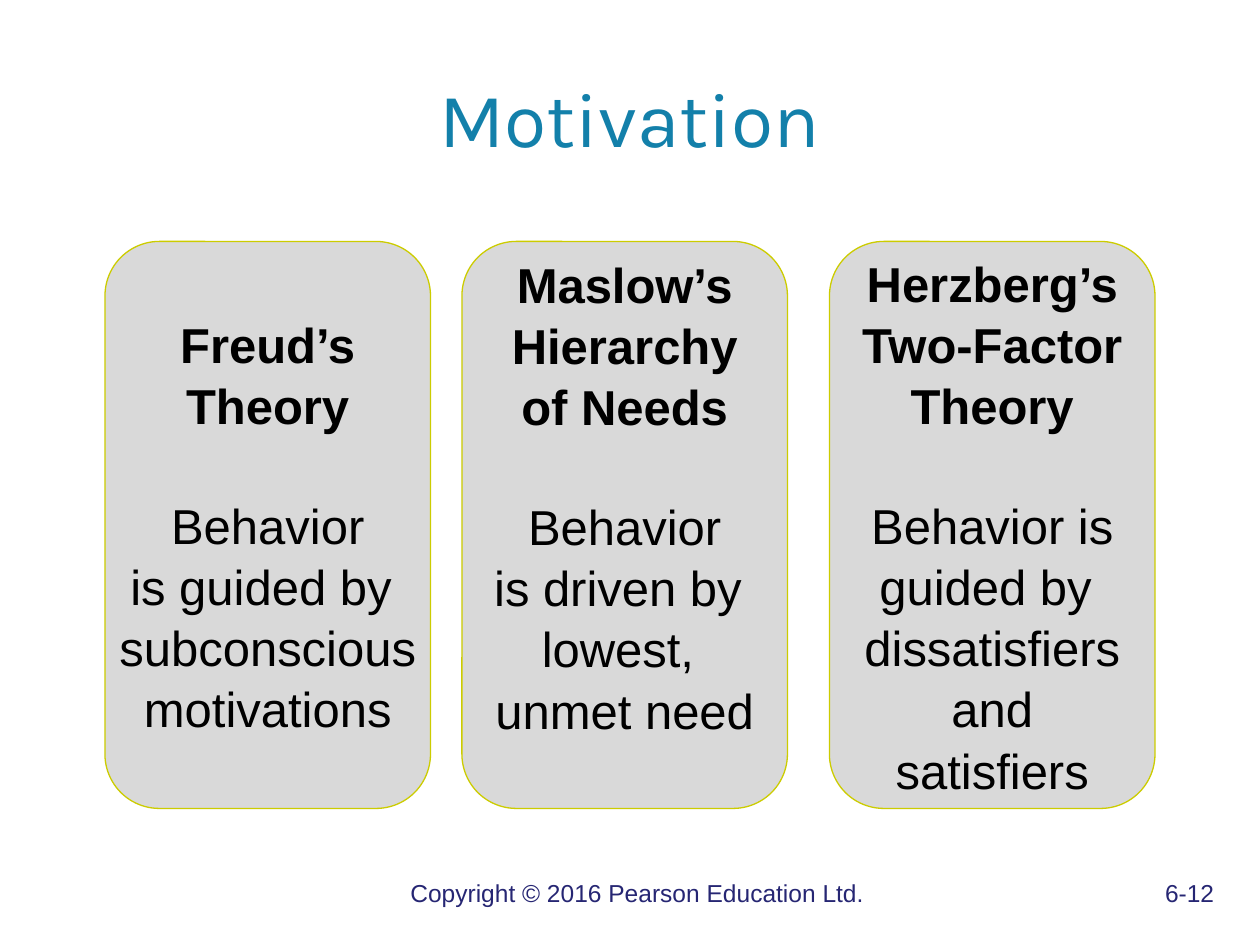
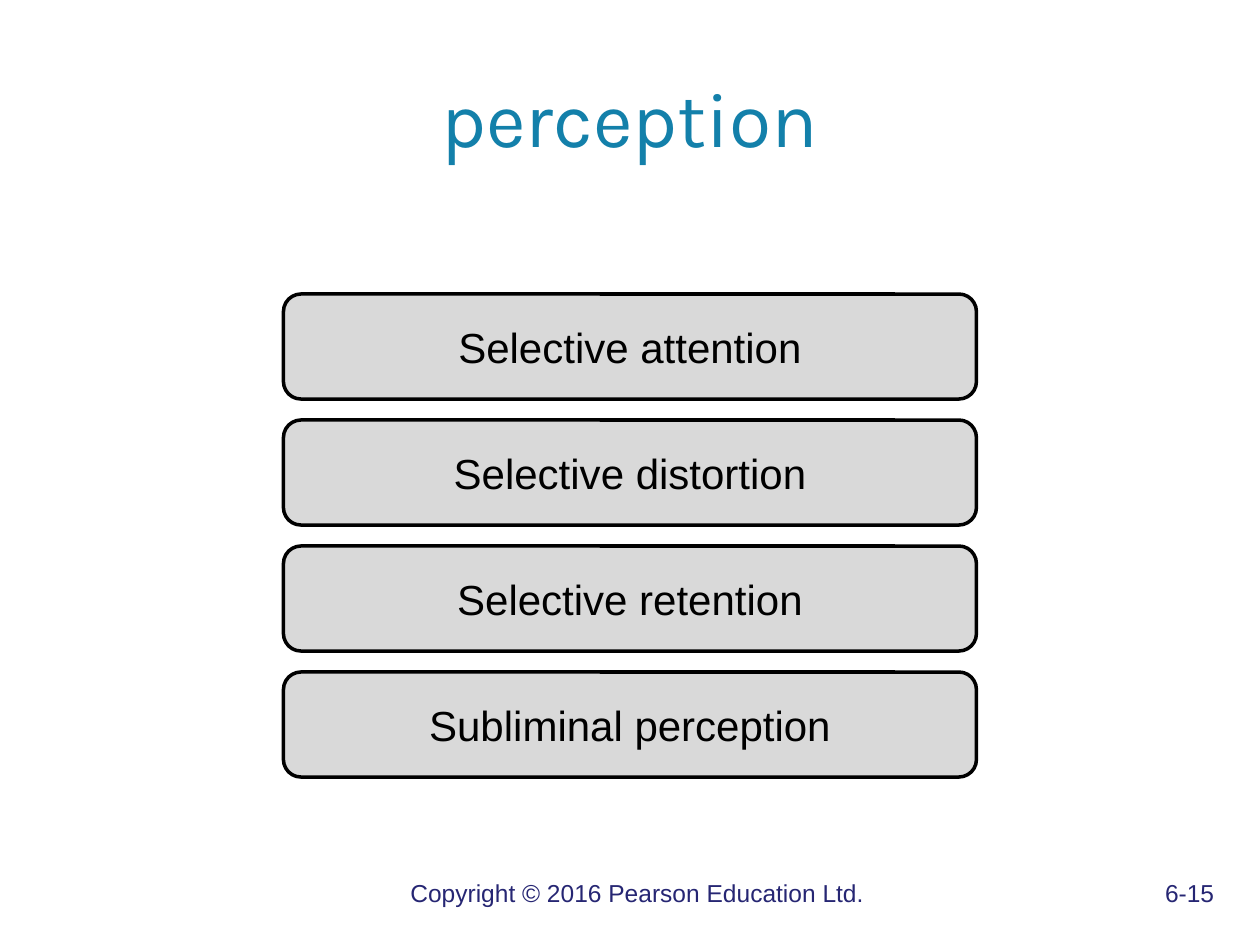
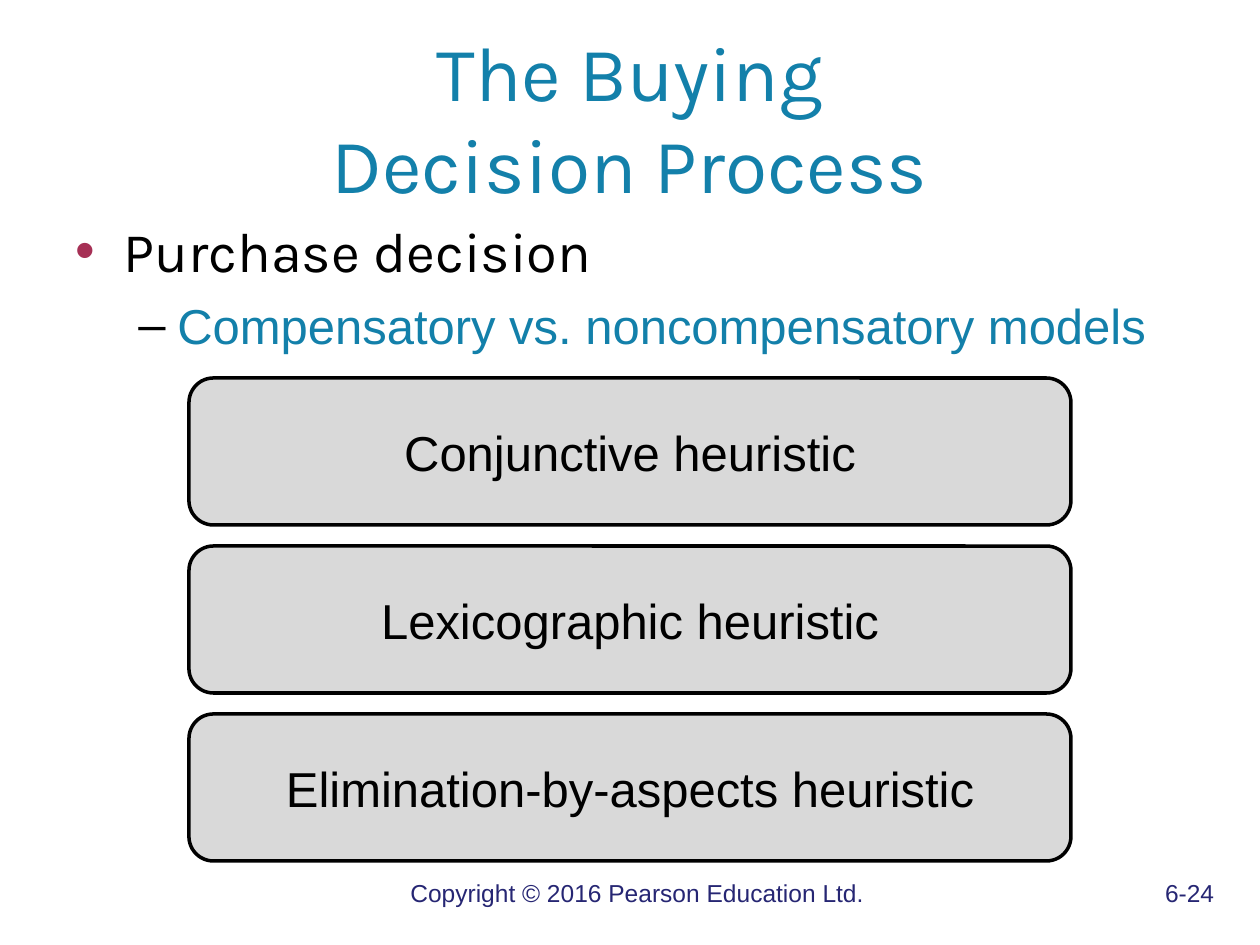
import pptx
import pptx.util
import pptx.dml.color
import pptx.enum.shapes
import pptx.enum.text
import pptx.oxml.ns
from lxml import etree

Pt = pptx.util.Pt
Inches = pptx.util.Inches
ALIGN = pptx.enum.text.PP_ALIGN
ANCHOR = pptx.enum.text.MSO_ANCHOR
COLORS = {
    "title": "1380AA",
    "footer": "262673",
    "bullet": "A63055",
    "box": "D9D9D9",
    "card_line": "CCCC00",
    "black": "000000",
}
COLS, ROWS = 120, 90
CARD_PITCH = Pt(33.5)  # one line of card text


def rgb(name):
    return pptx.dml.color.RGBColor.from_string(COLORS[name])


class Deck:
    """Holds the shared style and the current slide, on a 120 x 90 grid."""

    def __init__(self):
        self.prs = pptx.Presentation()
        self.prs.slide_width, self.prs.slide_height = Inches(10), Inches(7.5)
        self.s = None

    def grid(self, col, row, cols, rows):
        w, h = self.prs.slide_width, self.prs.slide_height
        return (int(w * col / COLS), int(h * row / ROWS),
                int(w * cols / COLS), int(h * rows / ROWS))

    def slide(self, title, number):
        self.s = self.prs.slides.add_slide(self.prs.slide_layouts[6])
        self.footer(number)
        self.title(title)

    def run(self, p, text, size, color="black", font="Arial", bold=False):
        r = p.add_run()
        r.text = text
        r.font.name, r.font.size, r.font.bold = font, Pt(size), bold
        r.font.color.rgb = rgb(color)

    def textbox(self, *place):
        tf = self.s.shapes.add_textbox(*self.grid(*place)).text_frame
        tf.word_wrap = True
        return tf

    def footer(self, number):
        tf = self.textbox(5, 83, 112, 6.2)
        tf.margin_left = Inches(2.84)
        p = tf.paragraphs[0]
        tabs = etree.SubElement(p._p.get_or_add_pPr(), pptx.oxml.ns.qn("a:tabLst"))
        etree.SubElement(tabs, pptx.oxml.ns.qn("a:tab"),
                         pos=str(Inches(6.38)), algn="r")
        self.run(p, f"Copyright © 2016 Pearson Education Ltd.\t{number}", 14, "footer")

    def title(self, lines):
        tf = self.textbox(6, 3.6, 108, 15)
        tf.vertical_anchor = ANCHOR.MIDDLE
        p = tf.paragraphs[0]
        p.alignment = ALIGN.CENTER
        for i, line in enumerate(lines):
            if i:
                p.add_line_break()
            self.run(p, line, 44, "title", "Karla")

    def rounded(self, place, line, width):
        sp = self.s.shapes.add_shape(
            pptx.enum.shapes.MSO_SHAPE.ROUNDED_RECTANGLE, *self.grid(*place))
        sp.adjustments[0] = 0.167
        sp.shadow.inherit = False
        sp.fill.solid()
        sp.fill.fore_color.rgb = rgb("box")
        sp.line.color.rgb = rgb(line)
        sp.line.width = Pt(width)
        tf = sp.text_frame
        tf.vertical_anchor = ANCHOR.MIDDLE
        return tf

    def card(self, col, heading, body, spare_lines=0):
        """Bold heading lines, a one-line gap, body lines, room left below."""
        tf = self.rounded((col, 23, 31, 54), "card_line", 0.75)
        tf.word_wrap = False
        tf.margin_bottom += spare_lines * CARD_PITCH
        for i, line in enumerate(heading + body):
            p = tf.add_paragraph() if i else tf.paragraphs[0]
            p.alignment = ALIGN.CENTER
            p.line_spacing = 1.04
            if i == len(heading):
                p.space_before = CARD_PITCH
            self.run(p, line, 28, bold=i < len(heading))

    def stack(self, labels, place, gap, size):
        """Equal boxes below one another, from the place of the first."""
        col, row, cols, rows = place
        for i, label in enumerate(labels):
            tf = self.rounded((col, row + i * (rows + gap), cols, rows), "black", 2)
            p = tf.paragraphs[0]
            p.alignment = ALIGN.CENTER
            self.run(p, label, size)

    def bullet(self, p, char, color, left, hanging):
        pPr = p._p.get_or_add_pPr()
        pPr.set("marL", str(Inches(left)))
        pPr.set("indent", str(-Inches(hanging)))
        qn = pptx.oxml.ns.qn
        clr = etree.SubElement(pPr, qn("a:buClr"))
        etree.SubElement(clr, qn("a:srgbClr"), val=COLORS[color])
        etree.SubElement(pPr, qn("a:buFont"), typeface="Arial")
        etree.SubElement(pPr, qn("a:buChar"), char=char)

    def points(self, point, subpoint):
        tf = self.textbox(6, 20, 108, 16)
        p = tf.paragraphs[0]
        self.bullet(p, "•", "bullet", 0.38, 0.38)
        self.run(p, point, 32, font="Karla")
        p = tf.add_paragraph()
        p.level = 1
        self.bullet(p, "–", "black", 0.81, 0.31)
        p.space_before = Pt(7)
        self.run(p, subpoint, 28, "title")


def main():
    deck = Deck()

    deck.slide(["Motivation"], "6-12")
    deck.card(10, ["Freud’s", "Theory"],
              ["Behavior", "is guided by ", "subconscious", "motivations"])
    deck.card(44, ["Maslow’s", "Hierarchy", "of Needs"],
              ["Behavior", "is driven by ", "lowest, ", "unmet need"], spare_lines=1)
    deck.card(79, ["Herzberg’s", "Two-Factor", "Theory"],
              ["Behavior is", "guided by ", "dissatisfiers", "and", "satisfiers"])

    deck.slide(["perception"], "6-15")
    deck.stack(["Selective attention", "Selective distortion",
                "Selective retention", "Subliminal perception"],
               (27, 28, 66, 10), gap=2, size=24)

    deck.slide(["The Buying", "Decision Process"], "6-24")
    deck.points("Purchase decision", "Compensatory vs. noncompensatory models")
    deck.stack(["Conjunctive heuristic", "Lexicographic heuristic",
                "Elimination-by-aspects heuristic"],
               (18, 36, 84, 14), gap=2, size=28)

    deck.prs.save("out.pptx")


if __name__ == "__main__":
    main()
